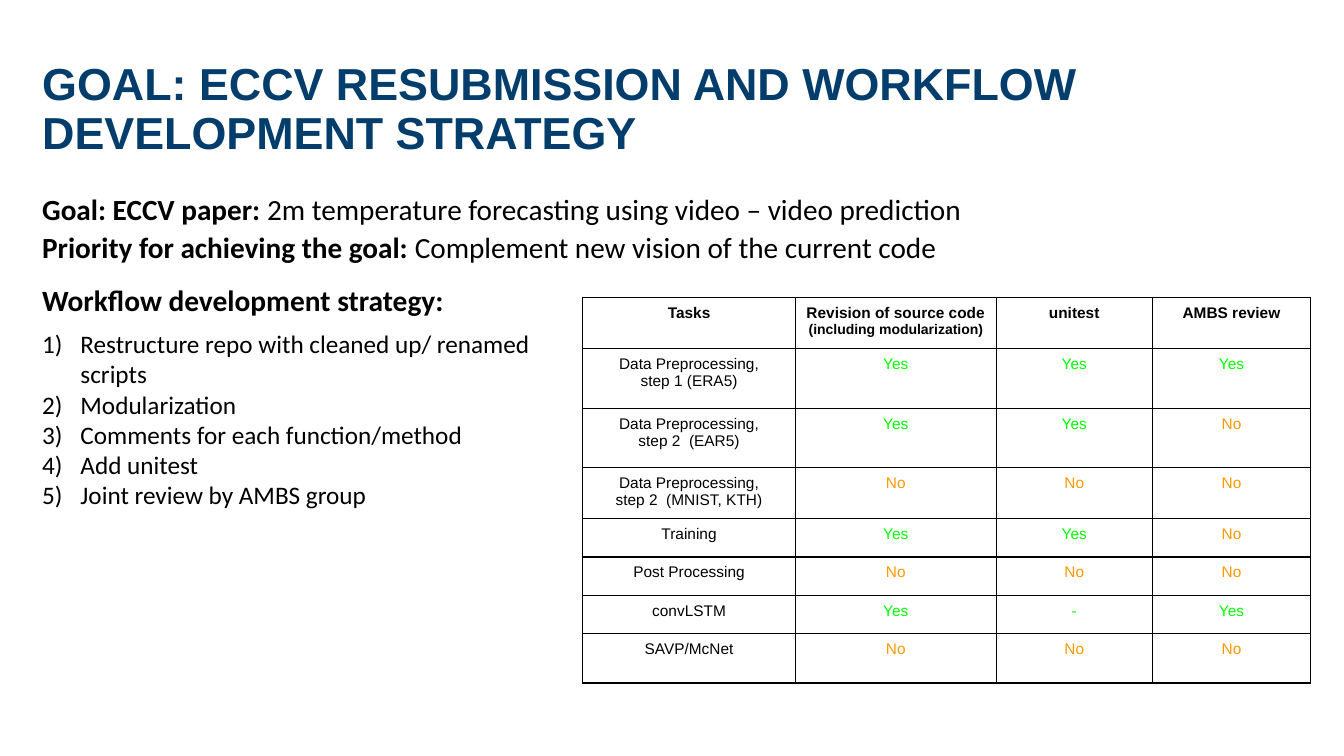
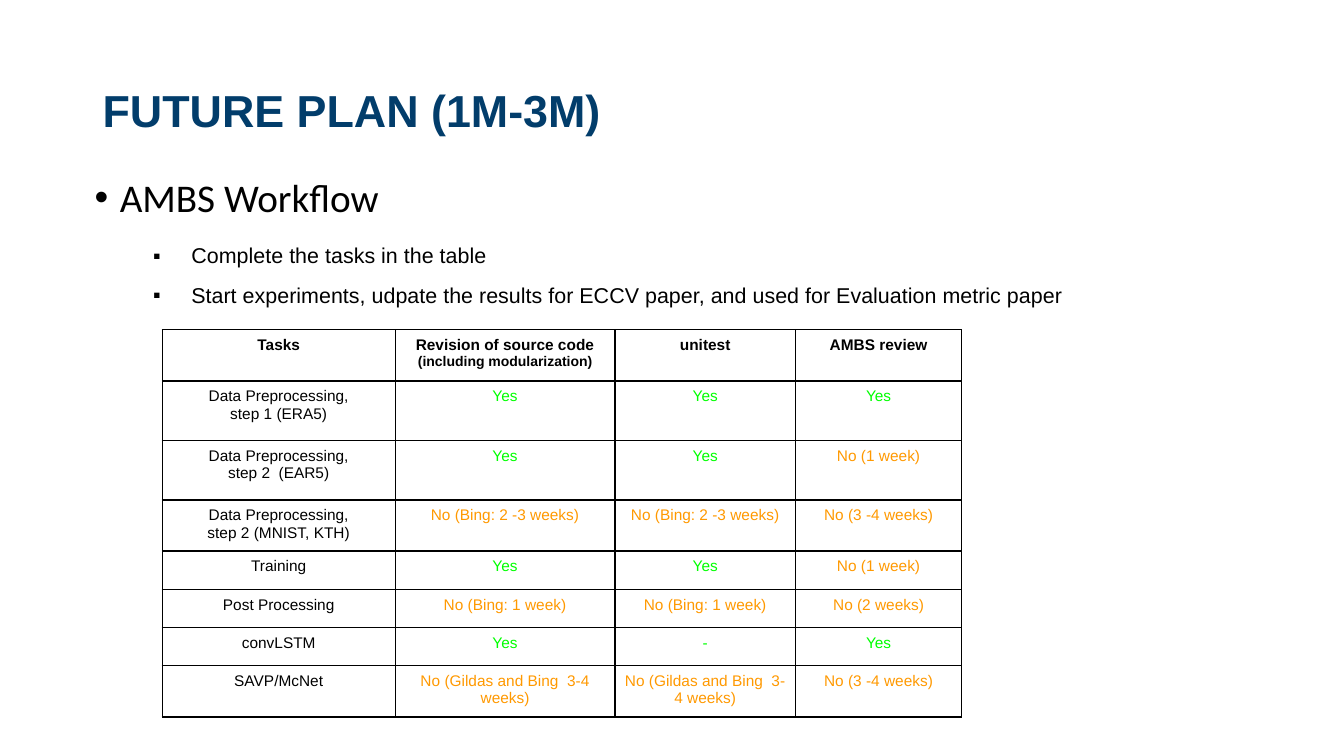
from lxml import etree
from pptx import Presentation
from pptx.dml.color import RGBColor
from pptx.enum.text import MSO_ANCHOR, PP_ALIGN
from pptx.oxml.ns import qn
from pptx.util import Inches, Pt

MIDDLE, TOP = MSO_ANCHOR.MIDDLE, MSO_ANCHOR.TOP
CENTER = PP_ALIGN.CENTER
NAVY, BLACK, GREEN, ORANGE = "023D6B", "000000", "00FF00", "FF9900"
HEADING_FONT, BODY_FONT = "Arial", "Calibri"

ROW_HEIGHTS = [0.51, 0.59, 0.59, 0.49, 0.38, 0.38, 0.38, 0.49]
HEADER = ["Tasks", "Revision of source code ", "unitest", "AMBS review"]
HEADER_NOTE = "(including modularization)"
CELL_MARGIN = 0.07


def format_span(span, size, colour=BLACK, bold=False, font=BODY_FONT):
    span.font.size = Pt(size)
    span.font.name = font
    span.font.bold = bold
    span.font.color.rgb = RGBColor.from_string(colour)


def add_text(page, place, lines, size, colour=BLACK, font=BODY_FONT, anchor=TOP,
             wrap=True, spacing=1.0, before=0, after=0, level=0, hang=None, bullet=None):
    """Add a text box; each line is a list of (text, bold) pairs.

    hang is (left margin, hanging depth) in inches; bullet is a character or "1)".
    """
    box = page.shapes.add_textbox(*[Inches(length) for length in place])
    frame = box.text_frame
    frame.word_wrap = wrap
    frame.vertical_anchor = anchor
    for index, line in enumerate(lines):
        para = frame.paragraphs[0] if index == 0 else frame.add_paragraph()
        para.level = level
        para.line_spacing = spacing
        para.space_before, para.space_after = Pt(before), Pt(after)
        for text, bold in line:
            span = para.add_run()
            span.text = text
            format_span(span, size, colour, bold, font)
        if bullet:
            properties = para._p.get_or_add_pPr()
            properties.set("marL", str(Inches(hang[0])))
            properties.set("indent", str(-Inches(hang[1])))
            if bullet == "1)":
                etree.SubElement(properties, qn("a:buAutoNum"), type="arabicParenR")
            else:
                etree.SubElement(properties, qn("a:buFont"), typeface="Arial")
                etree.SubElement(properties, qn("a:buChar"), char=bullet)


deck = Presentation()
deck.slide_width, deck.slide_height = Inches(13.33), Inches(7.5)
goal_page, plan_page = [deck.slides.add_slide(deck.slide_layouts[6]) for _ in range(2)]

# Titles
for page, place, title in [
    (goal_page, (0.32, 0.37, 13.02, 1.45),
     "GOAL: ECCV RESUBMISSION AND WORKFLOW DEVELOPMENT STRATEGY"),
    (plan_page, (0.92, 0.4, 11.5, 1.45), "FUTURE PLAN (1M-3M)"),
]:
    add_text(page, place, [[(title, True)]], 32, NAVY, HEADING_FONT, MIDDLE, spacing=0.9)

# Goal and strategy
goals = [
    [("Goal: ECCV paper: ", True),
     ("2m temperature forecasting using video – video prediction", False)],
    [("Priority for achieving the goal: ", True),
     ("Complement new vision of the current code", False)],
]
add_text(goal_page, (0.32, 1.94, 11.5, 0.75), goals, 20.9, spacing=0.7, before=10)
add_text(goal_page, (0.32, 2.75, 4.23, 0.45),
         [[("Workflow development strategy:", True)]], 21, wrap=False)
steps = [
    "Restructure repo with cleaned up/ renamed scripts",
    "Modularization",
    "Comments for each function/method",
    "Add unitest",
    "Joint review by AMBS group",
]
add_text(goal_page, (0.32, 3.21, 5.73, 2.22), [[(step, False)] for step in steps], 18,
         hang=(0.38, 0.38), bullet="1)")

# Future plan
add_text(plan_page, (0.84, 1.76, 11.5, 0.51), [[("AMBS Workflow", False)]], 28,
         spacing=0.8, before=10, hang=(0.25, 0.25), bullet="•")
plans = [
    "Complete the tasks in the table",
    "Start experiments, udpate the results for ECCV paper, "
    "and used for Evaluation metric paper",
]
add_text(plan_page, (0.92, 2.38, 11.5, 0.81), [[(plan, False)] for plan in plans], 15.3,
         font=HEADING_FONT, spacing=0.93, before=5, after=6, level=1,
         hang=(0.88, 0.38), bullet="▪")

# Task tables
goal_rows = [
    ["Data Preprocessing,\nstep 1 (ERA5)", "Yes", "Yes", "Yes"],
    ["Data Preprocessing,\nstep 2  (EAR5)", "Yes", "Yes", "No"],
    ["Data Preprocessing,\nstep 2  (MNIST, KTH)", "No", "No", "No"],
    ["Training", "Yes", "Yes", "No"],
    ["Post Processing", "No", "No", "No"],
    ["convLSTM", "Yes", "-", "Yes"],
    ["SAVP/McNet", "No", "No", "No"],
]
plan_rows = [
    ["Data Preprocessing,\nstep 1 (ERA5)", "Yes", "Yes", "Yes"],
    ["Data Preprocessing,\nstep 2  (EAR5)", "Yes", "Yes", "No (1 week)"],
    ["Data Preprocessing,\nstep 2 (MNIST, KTH)", "No (Bing: 2 -3 weeks)",
     "No (Bing: 2 -3 weeks)", "No (3 -4 weeks)"],
    ["Training", "Yes", "Yes", "No (1 week)"],
    ["Post Processing", "No (Bing: 1 week)", "No (Bing: 1 week)", "No (2 weeks)"],
    ["convLSTM", "Yes", "-", "Yes"],
    ["SAVP/McNet", "No (Gildas and Bing  3-4 weeks)",
     "No (Gildas and Bing  3-4 weeks)", "No (3 -4 weeks)"],
]
for page, left, top, widths, rows in [
    (goal_page, 5.78, 2.95, [2.11, 1.99, 1.55, 1.57], goal_rows),
    (plan_page, 1.61, 3.27, [2.31, 2.18, 1.79, 1.65], plan_rows),
]:
    table = page.shapes.add_table(
        len(ROW_HEIGHTS), len(widths), Inches(left), Inches(top),
        Inches(sum(widths)), Inches(sum(ROW_HEIGHTS))).table
    table.first_row = table.horz_banding = False
    for column, width in zip(table.columns, widths):
        column.width = Inches(width)
    for row, height in zip(table.rows, ROW_HEIGHTS):
        row.height = Inches(height)

    for row_index, texts in enumerate([HEADER] + rows):
        for column_index, text in enumerate(texts):
            cell = table.cell(row_index, column_index)
            cell.margin_left = cell.margin_right = Inches(CELL_MARGIN)
            cell.margin_top = cell.margin_bottom = Inches(CELL_MARGIN)
            is_header = row_index == 0
            if is_header or column_index == 0:
                colour = BLACK
            else:
                colour = ORANGE if text.startswith("No") else GREEN
            para = cell.text_frame.paragraphs[0]
            para.text = text
            para.alignment = CENTER
            for span in para.runs:
                format_span(span, 11, colour, is_header, HEADING_FONT)
            for side in ("a:lnL", "a:lnR", "a:lnT", "a:lnB"):
                border = etree.SubElement(cell._tc.get_or_add_tcPr(), qn(side), w=str(Pt(1)))
                fill = etree.SubElement(border, qn("a:solidFill"))
                etree.SubElement(fill, qn("a:srgbClr"), val=BLACK)
            cell.fill.background()

    note = table.cell(0, 1).text_frame.paragraphs[0].add_run()
    note.text = HEADER_NOTE
    format_span(note, 10, BLACK, True, HEADING_FONT)

deck.save("out.pptx")
